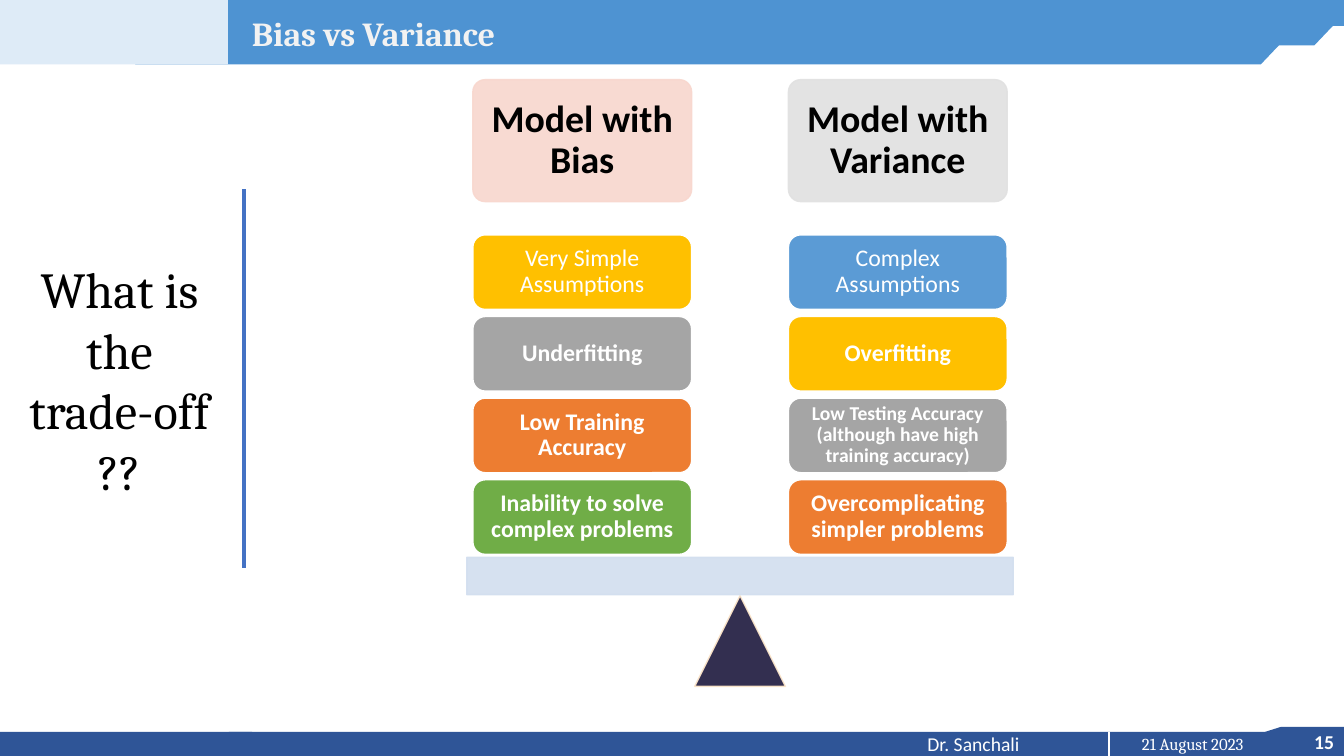
import pptx
import pptx.dml.color
import pptx.enum.shapes
import pptx.enum.text
import pptx.oxml.ns
import pptx.util
from lxml import etree

Inches = pptx.util.Inches
Pt = pptx.util.Pt
SHAPE = pptx.enum.shapes.MSO_SHAPE
ALIGN = pptx.enum.text.PP_ALIGN
ANCHOR = pptx.enum.text.MSO_ANCHOR
qn = pptx.oxml.ns.qn

SKY, NAVY, WHITE, BLACK = "4E93D2", "2F5597", "FFFFFF", "000000"
ORANGE, GREEN, GOLD, GREY, BLUE = "ED7D31", "70AD47", "FFC000", "A5A5A5", "5B9BD5"


def rgb(value):
    return pptx.dml.color.RGBColor.from_string(value)


class SlideBuilder:
    """Draws styled elements on one slide."""

    body_font = "Calibri"
    heading_font = "Cambria"

    def __init__(self, slide):
        self.shapes = slide.shapes

    def shape(self, kind, left, top, width, height, fill, line=None, adjust=None, opacity=100):
        shape = self.shapes.add_shape(
            kind, Inches(left), Inches(top), Inches(width), Inches(height))
        shape.shadow.inherit = False
        shape.fill.solid()
        shape.fill.fore_color.rgb = rgb(fill)
        if line:
            shape.line.color.rgb = rgb(line)
            shape.line.width = Pt(1)
        else:
            shape.line.fill.background()
        if adjust is not None:
            shape.adjustments[0] = adjust
        if opacity < 100:
            for color in shape.element.spPr.findall(".//" + qn("a:srgbClr")):
                etree.SubElement(color, qn("a:alpha"), val=str(opacity * 1000))
        return shape

    def set_text(self, shape, lines, size, color, font, bold=False, align=ALIGN.LEFT,
                 anchor=ANCHOR.TOP, inset=None, spacing=None):
        frame = shape.text_frame
        frame.word_wrap = True
        frame.vertical_anchor = anchor
        if inset is not None:
            frame.margin_left = frame.margin_right = Inches(inset)
            frame.margin_top = frame.margin_bottom = Inches(inset)
        frame.text = "\n".join(lines)
        for paragraph in frame.paragraphs:
            paragraph.alignment = align
            if spacing:
                paragraph.line_spacing = spacing
            paragraph.font.name = font
            paragraph.font.size = Pt(size)
            paragraph.font.bold = bold
            paragraph.font.color.rgb = rgb(color)

    def text(self, left, top, width, height, lines, size, color, font, **style):
        box = self.shapes.add_textbox(
            Inches(left), Inches(top), Inches(width), Inches(height))
        self.set_text(box, lines, size, color, font, **style)

    def card(self, left, top, height, label, size, fill, line, color=WHITE,
             bold=True, inset=0.07, adjust=None, opacity=100):
        """Rounded box with a centred label."""
        card = self.shape(SHAPE.ROUNDED_RECTANGLE, left, top, 2.17, height,
                          fill, line, adjust, opacity)
        self.set_text(card, [label], size, color, self.body_font, bold=bold,
                      align=ALIGN.CENTER, anchor=ANCHOR.MIDDLE, inset=inset, spacing=0.9)

    def vertical_line(self, x, top, bottom, color, width):
        line = self.shapes.add_connector(
            pptx.enum.shapes.MSO_CONNECTOR.STRAIGHT,
            Inches(x), Inches(top), Inches(x), Inches(bottom))
        line.line.color.rgb = rgb(color)
        line.line.width = Pt(width)
        etree.SubElement(line.element.spPr, qn("a:effectLst"))


def draw_footer(page):
    page.shape(SHAPE.FLOWCHART_CARD, 12.55, 7.21, 0.79, 0.25, NAVY)
    page.shape(SHAPE.RECTANGLE, -0.01, 7.26, 2.51, 0.26, NAVY)
    page.shape(SHAPE.RECTANGLE, 2.27, 7.26, 11.07, 0.24, NAVY)
    page.text(12.43, 7.19, 0.9, 0.34, ["15"], 14, WHITE, page.body_font,
              bold=True, align=ALIGN.RIGHT)
    page.text(11, 7.23, 1.66, 0.3, ["21 August 2023"], 12, WHITE, page.heading_font,
              align=ALIGN.CENTER)
    page.vertical_line(11, 7.26, 7.51, WHITE, 1.5)
    page.text(9.1, 7.21, 1.3, 0.34, ["Dr. Sanchali"], 14, WHITE, page.body_font)


def draw_header(page):
    for left, top, width, height, slant in [
        (1.82, -0.01, 11.53, 0.27, 0),
        (1.93, 0.11, 11.43, 0.34, 0.95),
        (1.34, 0.36, 11.43, 0.28, 0.95),
    ]:
        page.shape(SHAPE.PARALLELOGRAM, left, top, width, height, SKY, adjust=slant)
    page.shape(SHAPE.RECTANGLE, 0, -0.01, 2.26, 0.65, "DEEBF7")
    page.text(2.4, 0.08, 10.52, 0.5, ["Bias vs Variance"], 24, "F2F2F2",
              page.heading_font, bold=True)


def draw_question(page):
    page.text(0.1, 0.71, 2.17, 6.11, ["What is", "the trade-off", "??"], 36, BLACK,
              page.heading_font, align=ALIGN.CENTER, anchor=ANCHOR.MIDDLE)
    page.vertical_line(2.42, 1.88, 5.64, "4472C4", 2.25)


def draw_balance(page):
    page.shape(SHAPE.ISOSCELES_TRIANGLE, 6.89, 5.91, 0.9, 0.9, "1D193D", "FFE8CC", opacity=90)
    page.shape(SHAPE.RECTANGLE, 4.63, 5.53, 5.42, 0.37, "D2DEEF", "D2DEEF", opacity=90)
    sides = [
        (4.69, "Model with Bias", "F8D7CE", [
            ("Very Simple Assumptions", GOLD, 17),
            ("Underfitting", GREY, 17),
            ("Low Training Accuracy", ORANGE, 17),
            ("Inability to solve complex problems", GREEN, 17),
        ]),
        (7.82, "Model with Variance", "E1E1E1", [
            ("Complex Assumptions", BLUE, 17),
            ("Overfitting", GOLD, 17),
            ("Low Testing Accuracy (although have high training accuracy)", GREY, 14),
            ("Overcomplicating simpler problems", ORANGE, 17),
        ]),
    ]
    for left, model, tint, traits in sides:
        page.card(left, 0.79, 1.21, model, 27, tint, tint, color=BLACK,
                  inset=0.11, adjust=0.1, opacity=90)
        for row, (trait, fill, size) in enumerate(traits):
            page.card(left, 2.33 + row * 0.81, 0.74, trait, size, fill, WHITE,
                      bold=row > 0, inset=0.06 if size == 14 else 0.07)


def main():
    deck = pptx.Presentation()
    deck.slide_width = Inches(13.33)
    deck.slide_height = Inches(7.5)
    page = SlideBuilder(deck.slides.add_slide(deck.slide_layouts[6]))
    draw_footer(page)
    draw_header(page)
    draw_question(page)
    draw_balance(page)
    deck.save("out.pptx")


if __name__ == "__main__":
    main()
